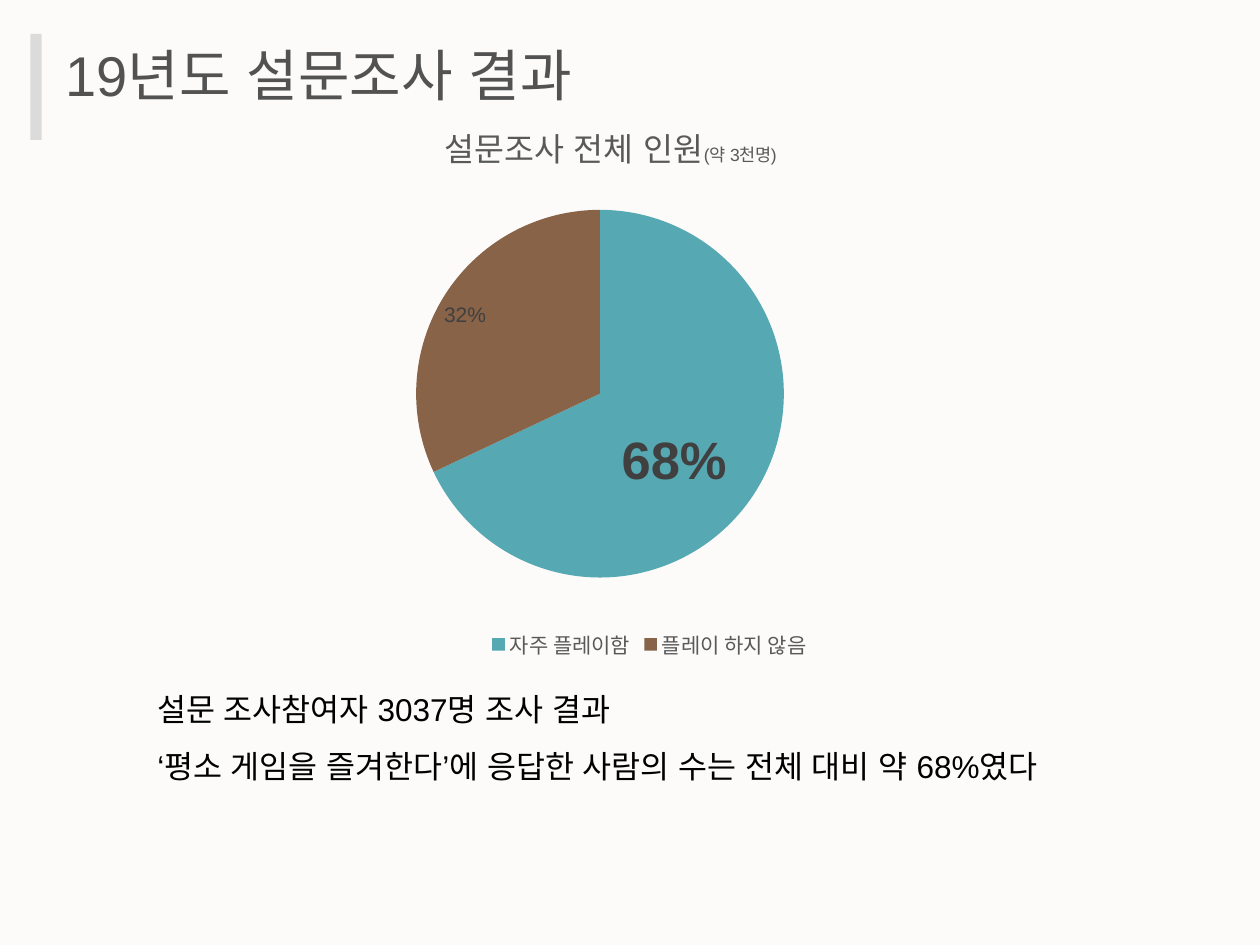
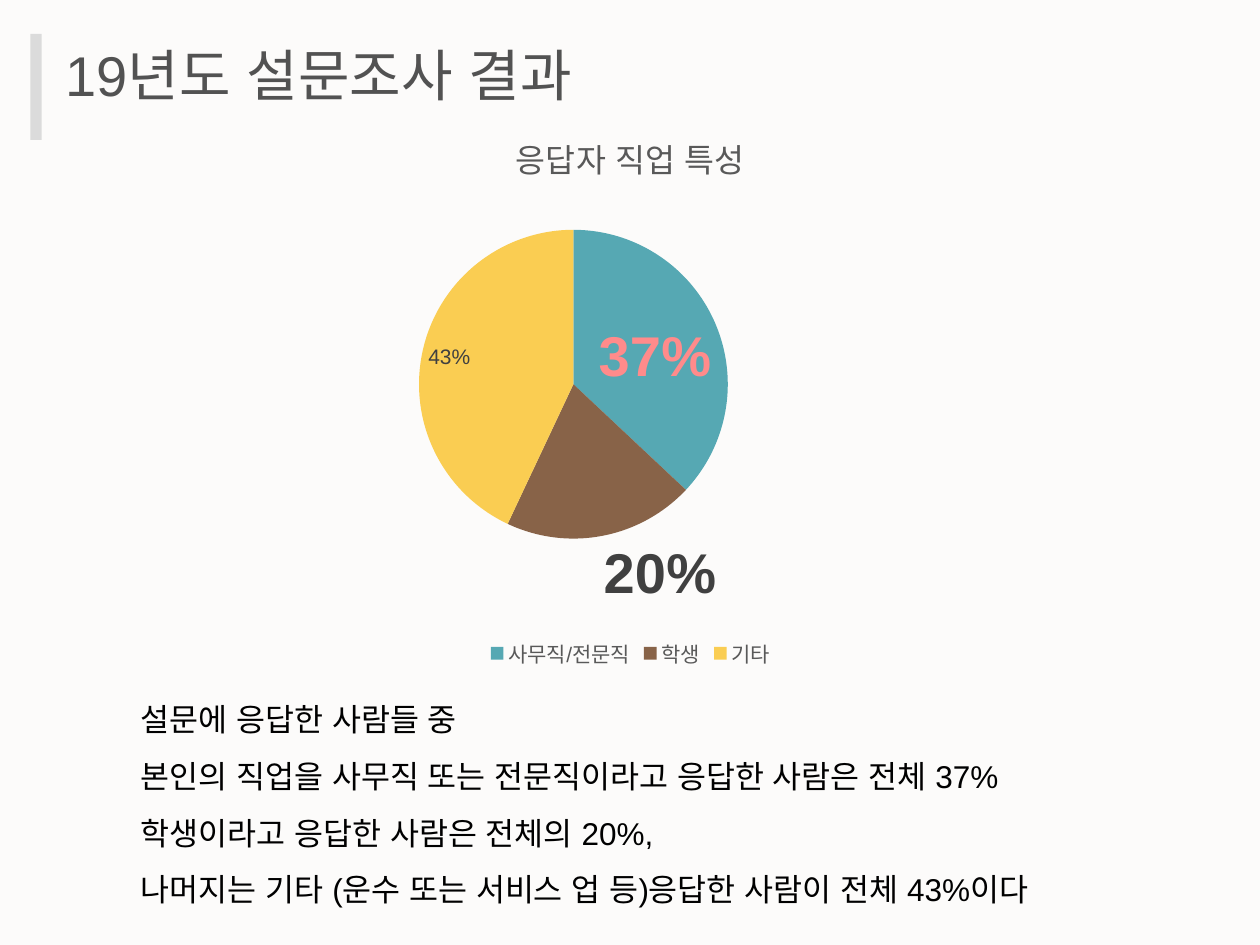
from lxml.etree import SubElement
from pptx import Presentation
from pptx.chart.data import CategoryChartData as ChartData
from pptx.dml.color import RGBColor as RGB
from pptx.enum.chart import XL_CHART_TYPE as CT, XL_LABEL_POSITION as LP, XL_LEGEND_POSITION as LG
from pptx.enum.lang import MSO_LANGUAGE_ID as LANG
from pptx.enum.shapes import MSO_SHAPE as SHAPE
from pptx.enum.text import MSO_AUTO_SIZE as FIT
from pptx.oxml.ns import qn
from pptx.util import Inches, Pt

C = {"bg": "FCFBFA", "band": "DBDBDB", "title": "525252", "body": "000000",
     "chart": "595959", "label": "404040", "pink": "FF8B8B",
     "teal": "56A8B3", "brown": "886348", "yellow": "FACD52"}
SLICES = ["teal", "brown", "yellow"]
FONT = "Arial"

prs = Presentation()
prs.slide_width, prs.slide_height = Inches(10), Inches(7.5)
COL, ROW = prs.slide_width / 100, prs.slide_height / 75


def style(font, size, color, bold=False, run=None):
    font.name, font.size, font.bold = FONT, Pt(size), bold
    font.color.rgb = RGB.from_string(C[color])
    if run is not None:
        font.language_id = LANG.KOREAN
        SubElement(run._r.get_or_add_rPr(), qn("a:ea")).set("typeface", FONT)


def place(parent, index, percents, inner=False):
    for old in parent.findall(qn("c:layout")):
        parent.remove(old)
    layout = SubElement(parent, qn("c:layout"))
    parent.insert(index, layout)
    manual = SubElement(layout, qn("c:manualLayout"))
    if inner:
        SubElement(manual, qn("c:layoutTarget")).set("val", "inner")
    if parent.tag != qn("c:dLbl"):
        for mode in ("xMode", "yMode"):
            SubElement(manual, qn("c:" + mode)).set("val", "edge")
    for key, value in zip("xywh", percents):
        SubElement(manual, qn("c:" + key)).set("val", str(round(value / 100, 4)))


slides = [
    {"chart": (17.1, 9.1, 68.9, 43.7), "plot": (23.1, 17.3, 42.4, 66.8),
     "title": [("설문조사 전체 인원", 18.6), ("(약 3천명)", 10)], "title_at": (25.9, 1.9),
     "format": '0"%"',
     "data": [("자주 플레이함", 68), ("플레이 하지 않음", 32)],
     "labels": [(30, "label", (-0.4, 3.3)), (12, "label", (-6.6, -5.2))],
     "text": (11.5, 52.8, 79.2, 9.5),
     "lines": ["설문 조사참여자 3037명 조사 결과",
               "‘평소 게임을 즐겨한다’에 응답한 사람의 수는 전체 대비 약 68%였다"]},
    {"chart": (16.7, 9.1, 66.7, 44.4), "plot": (24.8, 20.6, 36.8, 55.2),
     "title": [("응답자 직업 특성", 18.6)], "title_at": None,
     "format": "0%",
     "data": [("사무직/전문직", 0.37), ("학생", 0.2), ("기타", 0.43)],
     "labels": [(32, "pink", (1.3, 0.6)), (32, "label", (8.6, 20.4)),
                (12, "label", (-5.8, -1.8))],
     "text": (10.2, 53.6, 79.6, 18.6),
     "lines": ["설문에 응답한 사람들 중",
               "본인의 직업을 사무직 또는 전문직이라고 응답한 사람은 전체 37%",
               "학생이라고 응답한 사람은 전체의 20%,",
               "나머지는 기타 (운수 또는 서비스 업 등)응답한 사람이 전체 43%이다"]},
]

for info in slides:
    s = prs.slides.add_slide(prs.slide_layouts[6])
    s.background.fill.solid()
    s.background.fill.fore_color.rgb = RGB.from_string(C["bg"])

    band = s.shapes.add_shape(SHAPE.RECTANGLE, int(2.4 * COL), int(2.7 * ROW),
                              int(0.9 * COL), int(8.4 * ROW))
    band.shadow.inherit = False
    band.fill.solid()
    band.fill.fore_color.rgb = RGB.from_string(C["band"])
    band.line.fill.background()

    for (x, y, w, h), lines, size, color, spacing, wrap in [
        ((4.2, 2.7, 43.5, 6.4), ["19년도 설문조사 결과"], 32, "title", 1, False),
        (info["text"], info["lines"], 18, "body", 1.5, True),
    ]:
        sp = s.shapes.add_textbox(int(x * COL), int(y * ROW), int(w * COL), int(h * ROW))
        tf = sp.text_frame
        tf.word_wrap, tf.auto_size = wrap, FIT.SHAPE_TO_FIT_TEXT
        for i, line in enumerate(lines):
            p = tf.add_paragraph() if i else tf.paragraphs[0]
            p.line_spacing = spacing
            r = p.add_run()
            r.text = line
            style(r.font, size, color, run=r)

    cd = ChartData(number_format=info["format"])
    cd.categories = [name for name, value in info["data"]]
    cd.add_series("Series 1", [value for name, value in info["data"]])
    x, y, w, h = info["chart"]
    chart = s.shapes.add_chart(CT.PIE, int(x * COL), int(y * ROW),
                               int(w * COL), int(h * ROW), cd).chart
    style(chart.font, 10, "body")

    chart.has_title = True
    p = chart.chart_title.text_frame.paragraphs[0]
    for text, size in info["title"]:
        r = p.add_run()
        r.text = text
        style(r.font, size, "chart", run=r)
    if info["title_at"]:
        place(chart.element.xpath(".//c:title")[0], 1, info["title_at"])

    chart.has_legend = True
    chart.legend.position = LG.BOTTOM
    chart.legend.include_in_layout = False
    style(chart.legend.font, 12, "chart")

    plot = chart.plots[0]
    plot.vary_by_categories = True
    place(chart.element.xpath(".//c:plotArea")[0], 0, info["plot"], inner=True)
    for i, (size, color, offset) in enumerate(info["labels"]):
        point = plot.series[0].points[i]
        point.format.fill.solid()
        point.format.fill.fore_color.rgb = RGB.from_string(C[SLICES[i]])
        style(point.data_label.font, size, color, size > 12)
        point.data_label.position = LP.CENTER
        place(chart.element.xpath(".//c:dLbl")[i], 1, offset)
    for leader in chart.element.xpath(".//c:showLeaderLines"):
        leader.set("val", "0")

prs.save("out.pptx")
